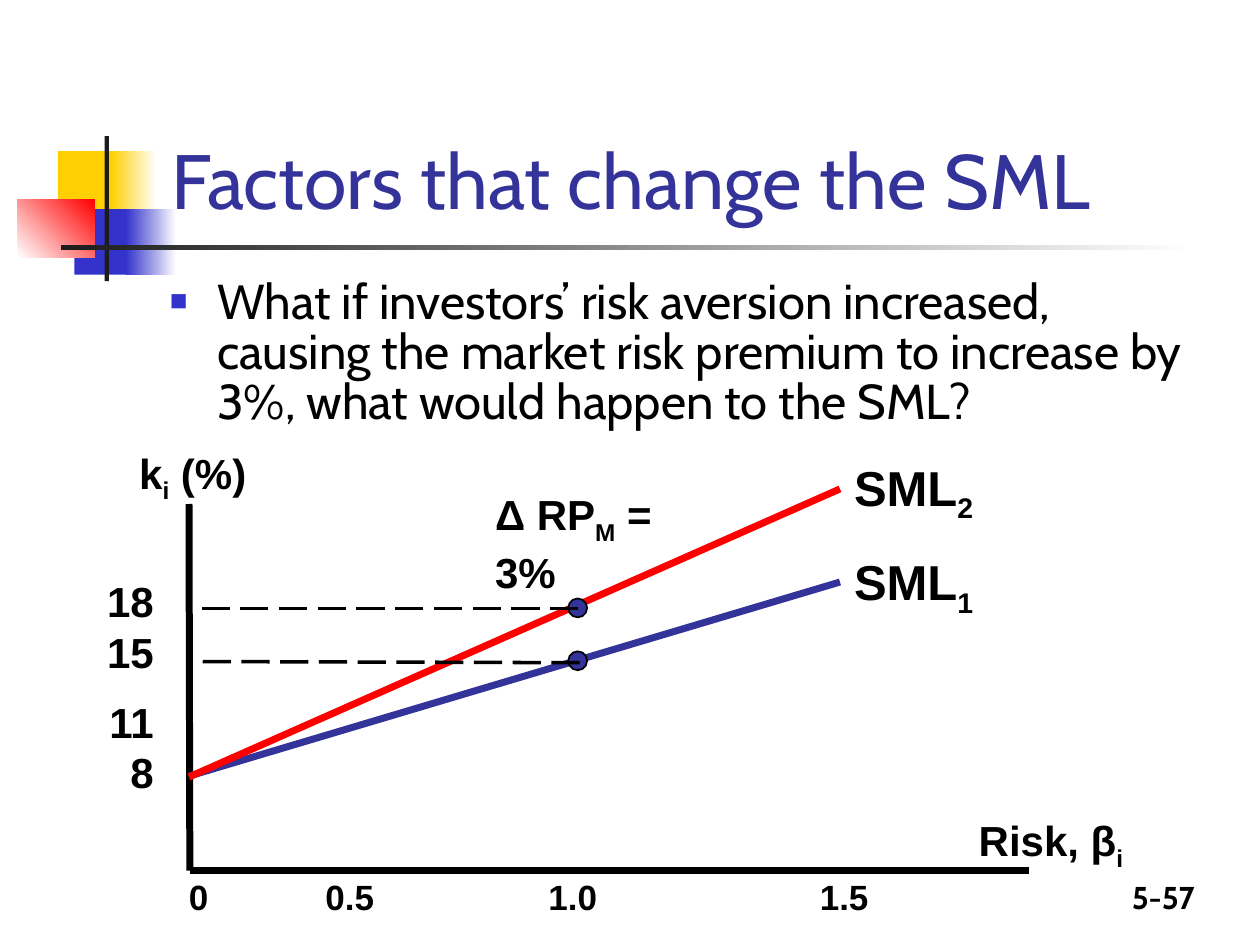
from dataclasses import dataclass

from lxml import etree
from pptx import Presentation
from pptx import util as u
from pptx.dml.color import RGBColor
from pptx.enum import dml, shapes, text
from pptx.oxml.ns import qn


@dataclass(frozen=True)
class Theme:
    black: str = "000000"
    ink: str = "1C1C1C"
    white: str = "FFFFFF"
    yellow: str = "FFCF01"
    blue: str = "3333CC"
    navy: str = "333399"
    red: str = "FF0000"
    heading_font: str = "Cabin"
    chart_font: str = "Arial"
    title: float = 44
    large: float = 28
    label: float = 24
    tick: float = 20
    number: float = 18


THEME = Theme()
LEFT, CENTER, RIGHT = text.PP_ALIGN.LEFT, text.PP_ALIGN.CENTER, text.PP_ALIGN.RIGHT


@dataclass(frozen=True)
class Block:
    """Ornament rectangle, fading to `end` when that is given."""
    left: float
    top: float
    width: float
    height: float
    start: str
    end: str = ""
    angle: float = 0


@dataclass(frozen=True)
class Stroke:
    start: tuple[float, float]
    end: tuple[float, float]
    color: str = THEME.black
    width: float = 4
    dashed: bool = False


@dataclass(frozen=True)
class Label:
    """Text whose second piece, if any, is a subscript."""
    left: float
    top: float
    width: float
    height: float
    pieces: tuple[str, ...]
    size: float = THEME.label
    font: str = THEME.chart_font
    color: str = THEME.black
    bold: bool = True
    align: text.PP_ALIGN = LEFT
    wrap: bool = False
    anchor: text.MSO_ANCHOR = text.MSO_ANCHOR.TOP


ORNAMENT = [
    Block(33.1, 86.4, 34.6, 37.4, THEME.yellow),
    Block(63.4, 86.4, 25.9, 37.4, THEME.yellow, THEME.white),
    Block(42.5, 119.5, 33.1, 37.4, THEME.blue),
    Block(72, 119.5, 28.8, 37.4, THEME.blue, THEME.white),
    Block(10.1, 113.8, 43.9, 33.1, THEME.white, THEME.red, 45),
    Block(59.8, 77.8, 2.4, 82.8, THEME.ink),
    Block(34.6, 140.2, 648, 2.6, THEME.ink, THEME.white),
]

ORIGIN = (108.5, 497.5)
AXES_AND_MARKET_LINES = [
    Stroke((108, 288), ORIGIN),
    Stroke(ORIGIN, (588.2, 497.5)),
    Stroke((108, 443.5), (480, 332.6), THEME.navy),
    Stroke((108, 444), (480, 279.4), THEME.red),
]
GUIDES = [
    Stroke((330.5, 347.8), (108, 347.8), width=2, dashed=True),
    Stroke((331.2, 378.7), (108, 378), width=2, dashed=True),
]
DOT_LEFT, DOT_TOPS, DOT_SIZE = 324.7, (342, 372.2), 10.8

TITLE = Label(90.7, 16.6, 613.4, 115.2, ("Factors that change the SML",), THEME.title,
              THEME.heading_font, THEME.navy, False, wrap=True, anchor=text.MSO_ANCHOR.BOTTOM)
QUESTION = Label(90, 156.2, 599.8, 87.1, (
    "What if investors’ risk aversion increased, causing the market risk premium "
    "to increase by 3%, what would happen to the SML?",),
    THEME.large, THEME.heading_font, bold=False, wrap=True)
PAGE_NUMBER = Label(540, 498.2, 149.8, 28.8, ("5-57",), THEME.number, THEME.heading_font,
                    align=RIGHT, wrap=True)
CHART_LABELS = [
    Label(480, 311.8, 84.2, 41, ("SML", "1"), THEME.large, align=CENTER),
    Label(72, 252, 76.3, 36, ("k", "i", " (%)"), align=CENTER),
    Label(480, 257.8, 84.2, 41, ("SML", "2"), THEME.large, align=CENTER),
    Label(275.8, 275.8, 125, 72, ("Δ RP", "M", " = 3%"), wrap=True),
    Label(552.2, 462.2, 97.9, 36, ("Risk, β", "i")),
]
BETA_TICKS = Label(100.8, 496.8, 413.3, 31, ("0\t0.5\t1.0\t1.5",), THEME.tick, wrap=True)
BETA_STOPS = (92, 219.5, 374.5)
RETURN_TICKS = Label(54, 318.2, 41, 140.4, ("18",), align=RIGHT, wrap=True)
# Return ticks with their line spacing
RETURNS = (("18", u.Pt(36)), ("15", 1.0), ("11", u.Pt(40)), ("8", 1.0))


def rgb(color: str) -> RGBColor:
    return RGBColor.from_string(color)


def draw_block(page, block: Block) -> None:
    rect = page.shapes.add_shape(shapes.MSO_SHAPE.RECTANGLE, u.Pt(block.left), u.Pt(block.top),
                                 u.Pt(block.width), u.Pt(block.height))
    rect.shadow.inherit = False
    rect.line.fill.background()
    if block.end:
        rect.fill.gradient()
        rect.fill.gradient_angle = block.angle
        for stop, position, color in zip(rect.fill.gradient_stops, (0, 1), (block.start, block.end)):
            stop.position = position
            stop.color.rgb = rgb(color)
    else:
        rect.fill.solid()
        rect.fill.fore_color.rgb = rgb(block.start)


def draw_stroke(page, stroke: Stroke) -> None:
    line = page.shapes.add_connector(shapes.MSO_CONNECTOR.STRAIGHT,
                                     *map(u.Pt, stroke.start + stroke.end))
    line.line.color.rgb = rgb(stroke.color)
    line.line.width = u.Pt(stroke.width)
    if stroke.dashed:
        line.line.dash_style = dml.MSO_LINE.LONG_DASH
    etree.SubElement(line._element.spPr, qn("a:effectLst"))


def draw_dot(page, top: float) -> None:
    dot = page.shapes.add_shape(shapes.MSO_SHAPE.OVAL, u.Pt(DOT_LEFT), u.Pt(top),
                                u.Pt(DOT_SIZE), u.Pt(DOT_SIZE))
    dot.shadow.inherit = False
    dot.fill.solid()
    dot.fill.fore_color.rgb = rgb(THEME.navy)
    dot.line.color.rgb = rgb(THEME.black)
    dot.line.width = u.Pt(1)


def write(para, label: Label, pieces: tuple[str, ...]) -> None:
    para.alignment = label.align
    for index, piece in enumerate(pieces):
        span = para.add_run()
        span.text = piece
        span.font.name = label.font
        span.font.size = u.Pt(label.size)
        span.font.bold = label.bold
        span.font.color.rgb = rgb(label.color)
        if index == 1:
            span.font._element.set("baseline", "-25000")


def draw_label(page, label: Label):
    box = page.shapes.add_textbox(u.Pt(label.left), u.Pt(label.top),
                                  u.Pt(label.width), u.Pt(label.height))
    frame = box.text_frame
    frame.word_wrap = label.wrap
    frame.vertical_anchor = label.anchor
    write(frame.paragraphs[0], label, label.pieces)
    return frame


def add_bullet(para) -> None:
    para.line_spacing = 0.85
    props = para._p.get_or_add_pPr()
    props.set("marL", str(u.Pt(27)))
    props.set("indent", str(u.Pt(-27)))
    color = etree.SubElement(props, qn("a:buClr"))
    etree.SubElement(color, qn("a:srgbClr"), val=THEME.blue)
    etree.SubElement(props, qn("a:buSzPct"), val="60000")
    etree.SubElement(props, qn("a:buFont"), typeface=THEME.chart_font)
    etree.SubElement(props, qn("a:buChar"), char="■")


def add_tab_stops(para, stops: tuple[float, ...]) -> None:
    tabs = etree.SubElement(para._p.get_or_add_pPr(), qn("a:tabLst"))
    for stop in stops:
        etree.SubElement(tabs, qn("a:tab"), pos=str(u.Pt(stop)), algn="ctr")


def main() -> None:
    deck = Presentation()
    deck.slide_width, deck.slide_height = u.Pt(720), u.Pt(540)
    page = deck.slides.add_slide(deck.slide_layouts[6])

    # Ornament, heading and question
    for block in ORNAMENT:
        draw_block(page, block)
    draw_label(page, PAGE_NUMBER)
    draw_label(page, TITLE)
    add_bullet(draw_label(page, QUESTION).paragraphs[0])

    # Diagram
    for stroke in AXES_AND_MARKET_LINES:
        draw_stroke(page, stroke)
    for label in CHART_LABELS:
        draw_label(page, label)
    for top in DOT_TOPS:
        draw_dot(page, top)
    for stroke in GUIDES:
        draw_stroke(page, stroke)

    # Axis ticks
    add_tab_stops(draw_label(page, BETA_TICKS).paragraphs[0], BETA_STOPS)
    frame = draw_label(page, RETURN_TICKS)
    for value, _ in RETURNS[1:]:
        write(frame.add_paragraph(), RETURN_TICKS, (value,))
    for para, (_, spacing) in zip(frame.paragraphs, RETURNS):
        para.line_spacing = spacing

    deck.save("out.pptx")


if __name__ == "__main__":
    main()
